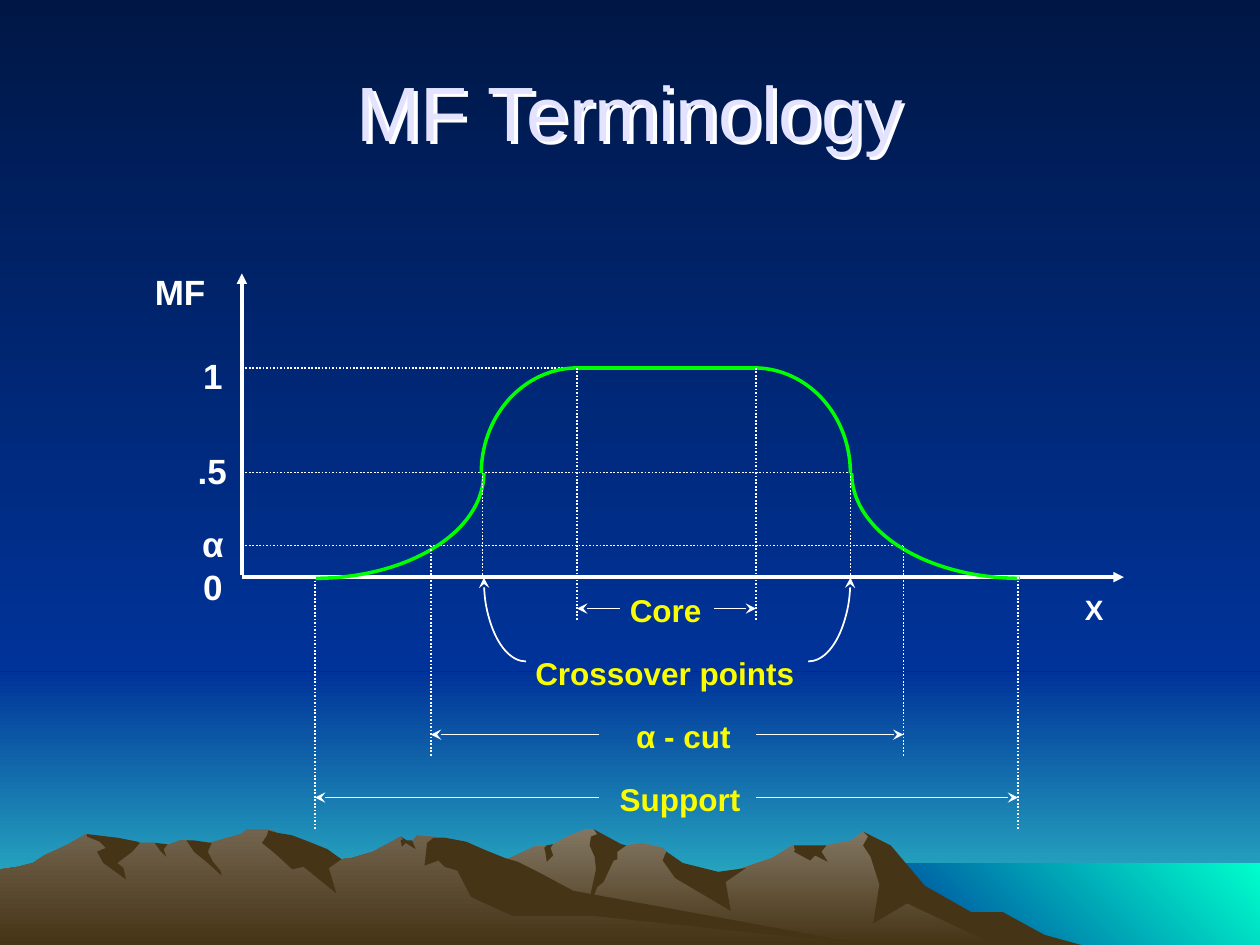
from lxml import etree
from pptx import Presentation
from pptx import util as u
from pptx.dml.color import RGBColor
from pptx.enum import dml, shapes, text
from pptx.oxml.ns import qn

PX = 9144  # EMU, 100 px to the inch
W, H = 1000, 750
FONT = "Arial"
COLOR = {
    "night": "001746", "blue": "003399", "haze": "33CCCC", "water": "00FFCC",
    "earth": "463416", "peak": "837763", "hill": "72644E",
    "title": "E3E3FF", "white": "FFFFFF", "curve": "00FF00", "note": "FAFD00",
}

# left, top, width, height, first colour, last colour, angle (counter-clockwise)
BACKDROP = [
    (0, 533, 1000, 217, "blue", "haze", 270),
    (0, 0, 1000, 533, "night", "blue", 270),
    (683, 685, 317, 65, "water", "blue", 225),
]
RIGHT_RANGE = [
    (802, 740), (778, 727), (764, 723), (723, 698), (702, 671), (685, 660), (676, 667),
    (656, 671), (629, 671), (613, 681), (566, 697), (536, 690), (529, 676), (526, 673),
    (509, 669), (486, 673), (471, 658), (465, 658), (450, 664), (438, 671), (424, 672),
    (405, 681), (394, 685), (355, 698), (327, 709), (277, 739), (258, 750), (820, 750)]
RIGHT_SHADES = [
    [(796, 724), (771, 724), (734, 703), (707, 671), (685, 660), (689, 664), (685, 671),
     (691, 680), (698, 702), (693, 733), (720, 717), (790, 750), (858, 750), (829, 742)],
    [(471, 658), (474, 662), (469, 664), (468, 671), (472, 680), (473, 690), (465, 727),
     (474, 704), (479, 700), (487, 683), (490, 682), (490, 676), (497, 671), (493, 670)],
    [(529, 676), (528, 678), (526, 683), (536, 697), (580, 723), (576, 700), (592, 689),
     (570, 692), (542, 685)],
    [(650, 671), (630, 671), (631, 675), (630, 676), (643, 683), (647, 679), (657, 684),
     (652, 676), (656, 671)],
    [(433, 677), (432, 673), (434, 671), (439, 670), (437, 673), (439, 679), (434, 684)],
]
LEFT_RANGE = [
    (690, 750), (667, 748), (432, 712), (354, 665), (331, 663), (327, 668), (323, 668),
    (318, 664), (296, 676), (279, 681), (271, 682), (260, 676), (236, 681), (223, 663),
    (219, 660), (212, 658), (196, 658), (191, 662), (180, 665), (160, 671), (148, 667),
    (143, 667), (132, 671), (123, 669), (111, 669), (94, 671), (68, 662), (56, 669),
    (46, 674), (35, 679), (26, 685), (14, 688), (0, 690), (0, 750)]
LEFT_SHADES = [
    [(212, 663), (208, 669), (219, 678), (232, 690), (241, 688), (267, 709), (261, 689),
     (271, 682), (260, 674), (245, 668), (232, 663), (220, 661), (213, 659)],
    [(370, 668), (354, 665), (344, 665), (339, 669), (337, 687), (348, 683), (353, 688),
     (363, 691), (374, 712), (407, 727), (472, 727), (690, 750), (455, 707), (427, 692),
     (411, 684), (401, 681), (386, 675)],
    [(318, 667), (320, 666), (318, 664), (323, 667), (327, 667), (330, 674), (322, 669),
     (319, 672)],
    [(154, 667), (168, 669), (165, 676), (169, 684), (175, 691), (176, 695), (165, 685),
     (154, 676), (148, 667)],
    [(133, 670), (130, 674), (132, 680), (127, 675), (123, 669)],
    [(109, 668), (111, 669), (105, 676), (93, 685), (98, 689), (100, 698), (82, 685),
     (77, 676), (84, 673), (79, 668), (69, 664), (69, 662), (94, 665)],
]

# Levels and places on the two axes
ORIGIN, ZERO, ALPHA, HALF, ONE = 192, 458, 433, 375, 292
SUPPORT, CUT, CROSS, CORE = (250, 808), (342, 717), (383, 675), (458, 600)

AXES = [(ORIGIN, ZERO, 892, ZERO), (ORIGIN, 456, ORIGIN, 217)]
LEVEL_GUIDES = [(HALF, CROSS[1]), (ONE, CORE[0]), (ALPHA, CUT[1])]  # y, right end
DROP_GUIDES = [(CORE, ONE, 492), (CROSS, HALF, ZERO), (SUPPORT, ZERO, 658), (CUT, ALPHA, 600)]
SPANS = [(CORE, 483, (492, 567)), (CUT, 583, (475, 600)), (SUPPORT, 633, (475, 600))]
# left, top, width, height, start and end angle (clockwise)
CURVE_ARCS = [
    (117, ONE, 267, 167, 0, 90), (382, ONE, 153, 167, 180, 270),
    (522, ONE, 153, 167, 270, 0), (676, ONE, 267, 167, 90, 180),
]
POINTER_ARCS = [((608, 392, 67, 133, 0, 90), "headEnd"), ((384, 392, 67, 133, 90, 180), "tailEnd")]

AXIS_LABELS = [
    ("MF", 113, 220, 60, 20), ("X", 851, 474, 35, 16), (".5", 147, 362, 43, 20),
    ("1", 151, 287, 36, 20), ("0", 151, 454, 36, 20), ("α", 150, 420, 38, 20),
]
NOTES = [("Core", 490, 464, 77), ("Crossover points", 415, 514, 226),
         ("α - cut", 495, 564, 101), ("Support", 482, 614, 116)]


def rgb(name):
    return RGBColor.from_string(COLOR[name])


def shade(fill, first, last, angle):
    fill.gradient()
    fill.gradient_angle = angle
    for stop, name, place in zip(fill.gradient_stops, (first, last), (0, 1)):
        stop.color.rgb, stop.position = rgb(name), place


def stroke(part, color, width, dotted=False, **ends):
    """Format a line; ends maps headEnd or tailEnd to an arrowhead type."""
    part.line.color.rgb = rgb(color)
    part.line.width = u.Pt(width)
    if dotted:
        part.line.dash_style = dml.MSO_LINE.ROUND_DOT
    for end, kind in ends.items():
        etree.SubElement(part.line._get_or_add_ln(), qn("a:" + end), type=kind)


def add_line(slide, x1, y1, x2, y2, color="white", width=1, **look):
    line = slide.shapes.add_connector(
        shapes.MSO_CONNECTOR.STRAIGHT, *(v * PX for v in (x1, y1, x2, y2)))
    stroke(line, color, width, **look)
    etree.SubElement(line._element.spPr, qn("a:effectLst"))


def add_preset(slide, kind, *box):
    shape = slide.shapes.add_shape(kind, *(v * PX for v in box))
    shape.shadow.inherit = False
    return shape


def add_arc(slide, left, top, width, height, start, end, color="white", weight=1, **ends):
    arc = add_preset(slide, shapes.MSO_SHAPE.ARC, left, top, width, height)
    for i, degrees in enumerate((start, end)):
        arc.adjustments[i] = degrees * 0.6
    arc.fill.background()
    stroke(arc, color, weight, **ends)


def add_land(slide, points, top="earth"):
    builder = slide.shapes.build_freeform(*points[0], scale=PX)
    builder.add_line_segments(points[1:], close=True)
    land = builder.convert_to_shape()
    land.shadow.inherit = False
    land.line.fill.background()
    if top == "earth":
        land.fill.solid()
        land.fill.fore_color.rgb = rgb(top)
    else:
        shade(land.fill, top, "earth", 270)


def write(frame, words, size, color, bold=False, align=None, spacing=None, before=None):
    para = frame.paragraphs[0]
    para.alignment, para.line_spacing = align, spacing
    if before is not None:
        para.space_before = u.Pt(before)
    run = para.add_run()
    run.text = words
    run.font.name, run.font.size, run.font.bold = FONT, u.Pt(size), bold
    run.font.color.rgb = rgb(color)


def add_label(slide, words, left, top, width, height, size, color, **look):
    frame = slide.shapes.add_textbox(*(v * PX for v in (left, top, width, height))).text_frame
    frame.word_wrap = False
    frame.auto_size = text.MSO_AUTO_SIZE.SHAPE_TO_FIT_TEXT
    write(frame, words, size, color, bold=True, **look)


def add_title(slide, words):
    title = slide.shapes.title
    title.left, title.top, title.width, title.height = (v * PX for v in (50, 25, 900, 125))
    title.text_frame.vertical_anchor = text.MSO_ANCHOR.MIDDLE
    write(title.text_frame, words, 44, "title", align=text.PP_ALIGN.CENTER)
    effects = etree.SubElement(title._element.spPr, qn("a:effectLst"))
    shadow = etree.SubElement(effects, qn("a:outerShdw"), dist="36000", dir="2700000")
    etree.SubElement(shadow, qn("a:srgbClr"), val=COLOR["white"])
    slide.shapes._spTree.append(title._element)  # in front of the sky


def add_scenery(slide):
    shade(slide.background.fill, "night", "blue", 270)
    for *box, first, last, angle in BACKDROP:
        area = add_preset(slide, shapes.MSO_SHAPE.RECTANGLE, *box)
        area.line.fill.background()
        shade(area.fill, first, last, angle)
    for outline, top, shades in ((RIGHT_RANGE, "peak", RIGHT_SHADES),
                                 (LEFT_RANGE, "hill", LEFT_SHADES)):
        add_land(slide, outline, top)
        for points in shades:
            add_land(slide, points)


def add_diagram(slide):
    for axis in AXES:
        add_line(slide, *axis, width=2, tailEnd="triangle")
    for y, right in LEVEL_GUIDES:
        add_line(slide, ORIGIN, y, right, y, dotted=True)
    for arc in CURVE_ARCS:
        add_arc(slide, *arc, color="curve", weight=2)
    add_line(slide, CORE[0], ONE, CORE[1], ONE, color="curve", width=2)
    for pair, top, bottom in DROP_GUIDES:
        for x in pair:
            add_line(slide, x, top, x, bottom, dotted=True)
    for arc, end in POINTER_ARCS:
        add_arc(slide, *arc, **{end: "stealth"})
    for outer, y, inner in SPANS:
        for tip, start in zip(outer, inner):
            add_line(slide, start, y, tip, y, tailEnd="stealth")
    for words, left, top, width, size in AXIS_LABELS:
        add_label(slide, words, left, top, width, 32 if size == 20 else 27, size, "white",
                  align=text.PP_ALIGN.CENTER, spacing=0.65, before=size * 0.375)
    for words, left, top, width in NOTES:
        add_label(slide, words, left, top, width, 40, 18, "note")


def main():
    deck = Presentation()
    deck.slide_width, deck.slide_height = W * PX, H * PX
    slide = deck.slides.add_slide(deck.slide_layouts[5])
    add_scenery(slide)
    add_title(slide, "MF Terminology")
    add_diagram(slide)
    deck.save("out.pptx")


if __name__ == "__main__":
    main()
